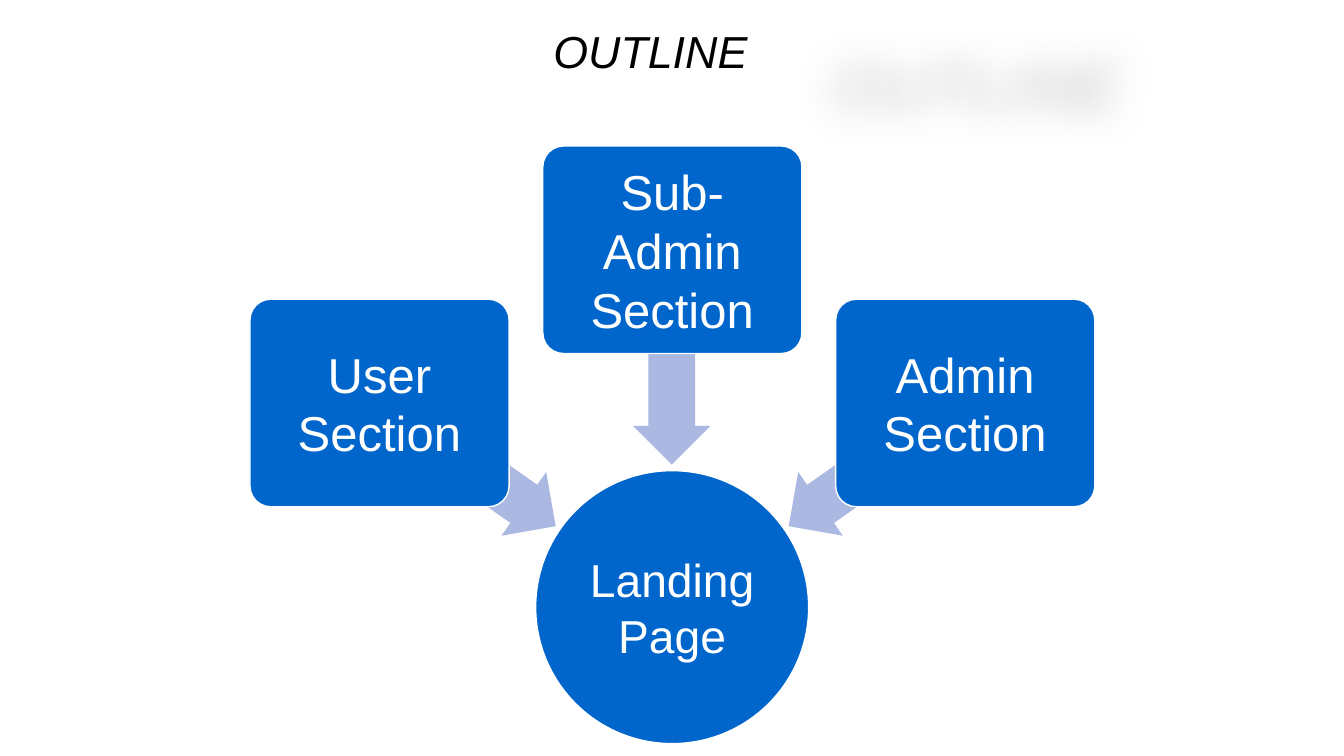
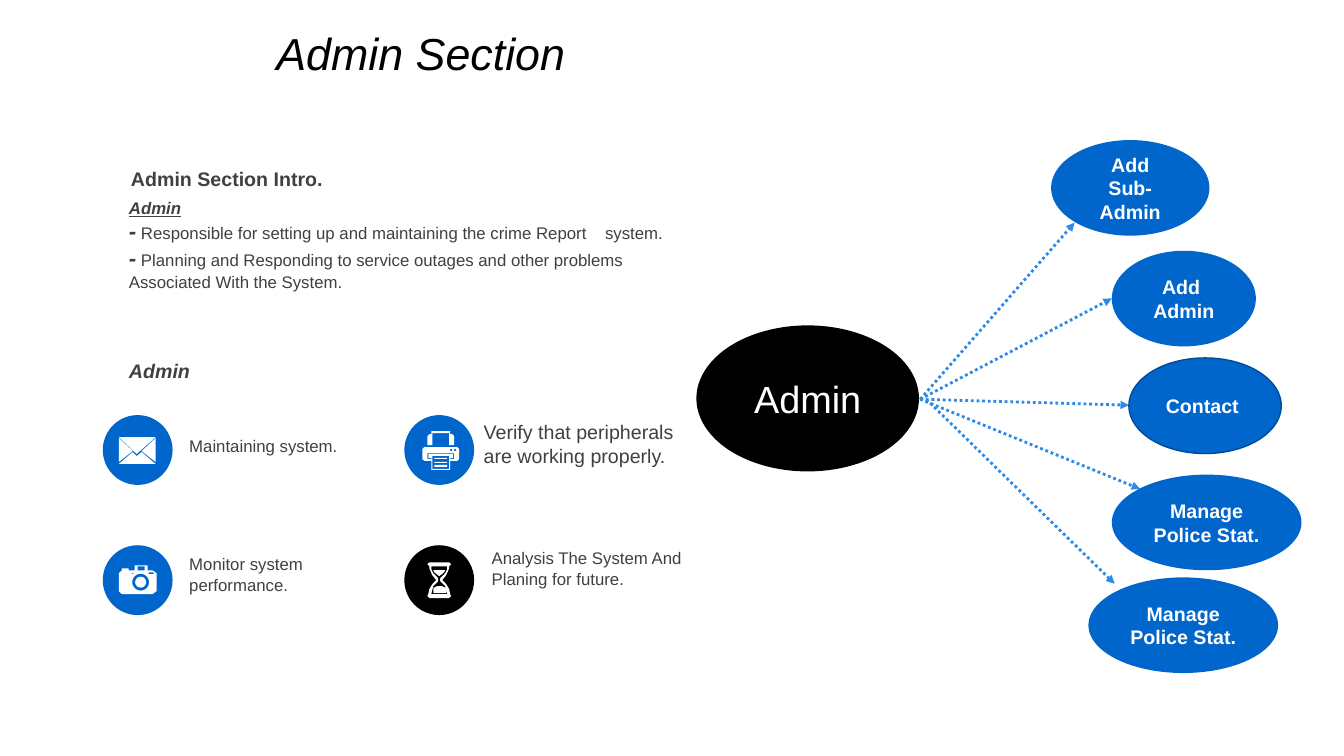
from dataclasses import dataclass
from math import cos, pi, sin

from lxml import etree
from pptx import Presentation
from pptx.dml.color import RGBColor
from pptx.enum.dml import MSO_LINE
from pptx.enum.shapes import MSO_CONNECTOR, MSO_SHAPE
from pptx.enum.text import MSO_ANCHOR, MSO_AUTO_SIZE, PP_ALIGN
from pptx.oxml.ns import qn
from pptx.util import Cm, Pt

OVAL, BOX, ARROW = MSO_SHAPE.OVAL, MSO_SHAPE.ROUNDED_RECTANGLE, MSO_SHAPE.LEFT_ARROW
STRAIGHT, DOTTED = MSO_CONNECTOR.STRAIGHT, MSO_LINE.ROUND_DOT
TOP, MIDDLE = MSO_ANCHOR.TOP, MSO_ANCHOR.MIDDLE
LEFT, CENTER = PP_ALIGN.LEFT, PP_ALIGN.CENTER
NO_FIT = MSO_AUTO_SIZE.NONE


@dataclass(frozen=True)
class Theme:
    font: str = "Arial"
    blue: str = "0066CC"
    dark_blue: str = "004B97"
    link_blue: str = "2D8AE7"
    pale_blue: str = "ABB8E2"
    black: str = "000000"
    white: str = "FFFFFF"
    grey: str = "404040"
    title: int = 32
    box: int = 35
    circle: int = 33
    hub: int = 27
    dash: int = 16
    label: int = 14
    body: int = 12


theme = Theme()


def write(frame, paragraphs, size=theme.body, color=theme.grey, align=LEFT,
          anchor=TOP, inset=None, spacing=None, **style):
    """Fill a text frame; a paragraph is a string or a list of (text, overrides)."""
    frame.word_wrap, frame.auto_size, frame.vertical_anchor = True, NO_FIT, anchor
    if inset is not None:
        frame.margin_left = frame.margin_right = Cm(inset)
        frame.margin_top = frame.margin_bottom = Cm(inset)
    for index, content in enumerate(paragraphs):
        paragraph = frame.add_paragraph() if index else frame.paragraphs[0]
        paragraph.alignment = align
        if spacing:
            paragraph.line_spacing = Pt(spacing)
        runs = [(content, {})] if isinstance(content, str) else content
        for text, overrides in runs:
            run = paragraph.add_run()
            run.text = text
            look = {"size": size, **style, **overrides}
            run.font.name = theme.font
            run.font.color.rgb = RGBColor.from_string(color)
            run.font.size = Pt(look.pop("size"))
            for key, value in look.items():
                setattr(run.font, key, value)


def draw(slide, kind, left, top, width, height, fill, line=None):
    """Add a flat preset shape, measured in centimetres."""
    shape = slide.shapes.add_shape(kind, Cm(left), Cm(top), Cm(width), Cm(height))
    shape.shadow.inherit = False
    shape.fill.solid()
    shape.fill.fore_color.rgb = RGBColor.from_string(fill)
    if line:
        shape.line.color.rgb = RGBColor.from_string(line)
        shape.line.width = Pt(1)
    else:
        shape.line.fill.background()
    return shape


deck = Presentation()
deck.slide_width, deck.slide_height = Cm(33.87), Cm(19.05)

# Slides with their titles
slides = []
for heading, left, top, width, height, anchor, spacing in (
    ("OUTLINE", 13.69, -0.1, 15.14, 2.18, MIDDLE, 54),
    ("Admin Section", 6.71, 0.51, 20.83, 1.63, TOP, None),
):
    slide = deck.slides.add_slide(deck.slide_layouts[5])
    title = slide.shapes.title
    title.left, title.top, title.width, title.height = Cm(left), Cm(top), Cm(width), Cm(height)
    write(title.text_frame, [heading], size=theme.title, color=theme.black,
          anchor=anchor, spacing=spacing, italic=True)
    slides.append(slide)
outline, admin = slides

# Soft, enlarged shadow behind the outline title
effects = etree.SubElement(outline.shapes.title._element.spPr, qn("a:effectLst"))
shadow = etree.SubElement(effects, qn("a:outerShdw"), blurRad=str(Cm(1)), dist=str(Cm(0.2)),
                          dir="5400000", sx="150000", sy="150000", algn="ctr", rotWithShape="0")
shade = etree.SubElement(shadow, qn("a:srgbClr"), val=theme.black)
etree.SubElement(shade, qn("a:alpha"), val="25000")

# Outline: three sections lead to the landing page
landing = draw(outline, OVAL, 13.5, 11.86, 6.88, 6.88, theme.blue, theme.white)
write(landing.text_frame, ["Landing Page"], size=theme.circle, color=theme.white,
      align=CENTER, anchor=MIDDLE, inset=0.05)
arrow_width, arrow_height = 5.26, 1.96
for column, (section, box_top, arrow_x, arrow_y, angle) in enumerate((
    ("User Section", 7.54, 11.85, 11.75, 215),
    ("Sub-Admin Section", 3.68, 16.93, 9.08, 270),
    ("Admin Section", 7.54, 22.03, 11.75, 325),
)):
    arrow = draw(outline, ARROW, arrow_x - arrow_width / 2, arrow_y - arrow_height / 2,
                 arrow_width, arrow_height, theme.pale_blue)
    arrow.adjustments[0], arrow.adjustments[1] = 0.6, 0.5
    arrow.rotation = angle
    box = draw(outline, BOX, 6.3 + 7.38 * column, box_top, 6.53, 5.23, theme.blue, theme.white)
    box.adjustments[0] = 0.1
    write(box.text_frame, [section], size=theme.box, color=theme.white,
          align=CENTER, anchor=MIDDLE, inset=0.18)

# Admin: hub with its tasks
hub = draw(admin, OVAL, 17.55, 8.2, 5.61, 3.68, theme.black)
write(hub.text_frame, ["Admin"], size=theme.hub, color=theme.white, align=CENTER, anchor=MIDDLE)
for task, left, top, width, border, start_x, end_x, end_y in (
    (["Add", "Sub-", "Admin"], 26.49, 3.53, 3.99, None, 23.19, 27.08, 5.61),
    (["Add ", "Admin"], 28.02, 6.32, 3.63, None, 23.19, 28.02, 7.52),
    (["Contact "], 28.45, 9.02, 3.84, theme.dark_blue, 23.19, 28.45, 10.21),
    (["Manage Police Stat."], 28.02, 11.96, 4.78, None, 23.19, 28.73, 12.32),
    (["Manage Police Stat."], 27.43, 14.55, 4.78, None, 23.34, 28.09, 14.71),
):
    link = admin.shapes.add_connector(STRAIGHT, Cm(start_x), Cm(10.06), Cm(end_x), Cm(end_y))
    link.line.color.rgb = RGBColor.from_string(theme.link_blue)
    link.line.width, link.line.dash_style = Pt(2), DOTTED
    etree.SubElement(link.line._get_or_add_ln(), qn("a:tailEnd"), type="triangle")
    etree.SubElement(link._element.spPr, qn("a:effectLst"))
    oval = draw(admin, OVAL, left, top, width, 2.41, theme.blue, border)
    write(oval.text_frame, task, size=theme.label, color=theme.white,
          align=CENTER, anchor=MIDDLE, bold=True)

# Admin: introduction, duties and captions
dash = ("-", {"size": theme.dash, "bold": True, "italic": True})
duties = [
    [("Admin", {"bold": True, "italic": True, "underline": True})],
    [dash, (" Responsible for setting up and maintaining the crime Report\tsystem.", {})],
    [dash, (" Planning and Responding to service outages and other problems "
            "Associated With the System.", {})],
]
label = {"size": theme.label}
for paragraphs, left, top, width, height, look in (
    (["Admin Section Intro."], 3.05, 4.09, 14.2, 0.86, {**label, "bold": True}),
    (duties, 3, 4.85, 14.15, 3.15, {}),
    (["Admin"], 3, 8.92, 4.5, 0.86, {**label, "bold": True, "italic": True}),
    (["Maintaining system."], 4.52, 10.85, 5.05, 0.76, {}),
    (["Verify that peripherals", "are working properly."], 11.94, 10.46, 6.96, 1.45,
     {**label, "anchor": MIDDLE}),
    (["Monitor system performance."], 4.52, 13.84, 5.05, 1.27, {}),
    (["Analysis The System And Planing for future."], 12.14, 13.69, 5.44, 1.27, {}),
):
    note = admin.shapes.add_textbox(Cm(left), Cm(top), Cm(width), Cm(height))
    write(note.text_frame, paragraphs, **look)
    if paragraphs is duties:
        tabs = etree.SubElement(note.text_frame.paragraphs[1]._p.get_or_add_pPr(), qn("a:tabLst"))
        etree.SubElement(tabs, qn("a:tab"), pos=str(Cm(12)), algn="l")

# Icon outlines around their centre: (left, top, right, bottom) is a
# rectangle, (x, y, radius) a circle, a list of points any other outline
envelope = [
    [(4, 2), (18, 14), (-19, 14), (-5, 2), (-1, 6)],
    [(18, -12), (18, 12), (4, 1)],
    [(-19, -12), (-5, 1), (-19, 12)],
    [(-19, -13), (18, -13), (-1, 4)],
]
printer = [
    [(-15, -3), (18, -3), (20, -1), (20, 9), (18, 11), (11, 11), (11, 20), (-8, 20),
     (-8, 11), (-15, 11), (-17, 9), (-17, -1)],
    [(-8, -19), (11, -19), (11, -16), (13, -16), (15, -14), (15, -5), (10, -5), (10, -17),
     (-7, -17), (-7, -5), (-12, -5), (-12, -14), (-10, -16), (-8, -16)],
    [(-12, 3), (15, 3), (15, 9), (11, 9), (11, 8), (14, 8), (14, 4), (-11, 4),
     (-11, 8), (-8, 8), (-8, 9), (-12, 9)],
    (-7, 6, 10, 19), (-5, 8, 8, 9), (-5, 12, 8, 13), (-5, 15, 8, 17),
    (16, 0, 1.2), (12, 0, 1.2),
]
camera = [
    [(-19, -7), (-16, -10), (-16, -12), (-9, -12), (-9, -10), (-3, -10), (-3, -15), (10, -15),
     (10, -10), (15, -10), (19, -7), (19, 11), (15, 14), (-16, 14), (-19, 11)],
    (0, -14, 7, -10), (11, -8, 16, -6), (-6, -7, -4, -6), (3, 2, 8.5), (3, 2, 5.5),
]
hourglass = [
    [(-10, -18), (10, -18), (12, -16), (10, -14), (10, -12), (7, -5), (3, 0), (7, 4),
     (10, 9), (11, 14), (12, 16), (10, 18), (-10, 18), (-12, 16), (-11, 14), (-10, 9),
     (-7, 4), (-3, 0), (-7, -5), (-10, -12), (-10, -14), (-12, -16)],
    [(-8, -14), (8, -14), (8, -11), (6, -7), (1, -2), (1, 1), (6, 6), (8, 14),
     (-8, 14), (-6, 6), (-1, 1), (-1, -2), (-6, -7), (-8, -11)],
    [(-6, -10), (6, -10), (5, -8), (0, -4), (-5, -8)],
    [(-6, 13), (-6, 8), (-2, 6), (3, 6), (7, 8), (7, 13)],
]

# Admin: round icon badges in a two by two grid
badge, unit, corners = 1.76, 0.025, 24
for index, (icon, fill) in enumerate((
    (envelope, theme.blue), (printer, theme.blue),
    (camera, theme.blue), (hourglass, theme.black),
)):
    row, column = divmod(index, 2)
    left, top = 2.59 + 7.6 * column, 10.46 + 3.28 * row
    draw(admin, OVAL, left, top, badge, badge, fill)
    contours = []
    for outline_part in icon:
        if isinstance(outline_part, list):
            contours.append(outline_part)
        elif len(outline_part) == 4:
            x1, y1, x2, y2 = outline_part
            contours.append([(x1, y1), (x2, y1), (x2, y2), (x1, y2)])
        else:
            x, y, radius = outline_part
            turns = [2 * pi * step / corners for step in range(corners)]
            contours.append([(x + radius * cos(t), y + radius * sin(t)) for t in turns])
    # Ten drawing steps to a unit keep the small circles round
    contours = [[(round(10 * x), round(10 * y)) for x, y in points] for points in contours]
    builder = admin.shapes.build_freeform(*contours[0][0], scale=Cm(unit) / 10)
    for number, points in enumerate(contours):
        if number:
            builder.move_to(*points[0])
        builder.add_line_segments(points[1:], close=True)
    symbol = builder.convert_to_shape(Cm(left + badge / 2), Cm(top + badge / 2))
    symbol.shadow.inherit = False
    symbol.fill.solid()
    symbol.fill.fore_color.rgb = RGBColor.from_string(theme.white)
    symbol.line.fill.background()

deck.save("out.pptx")
